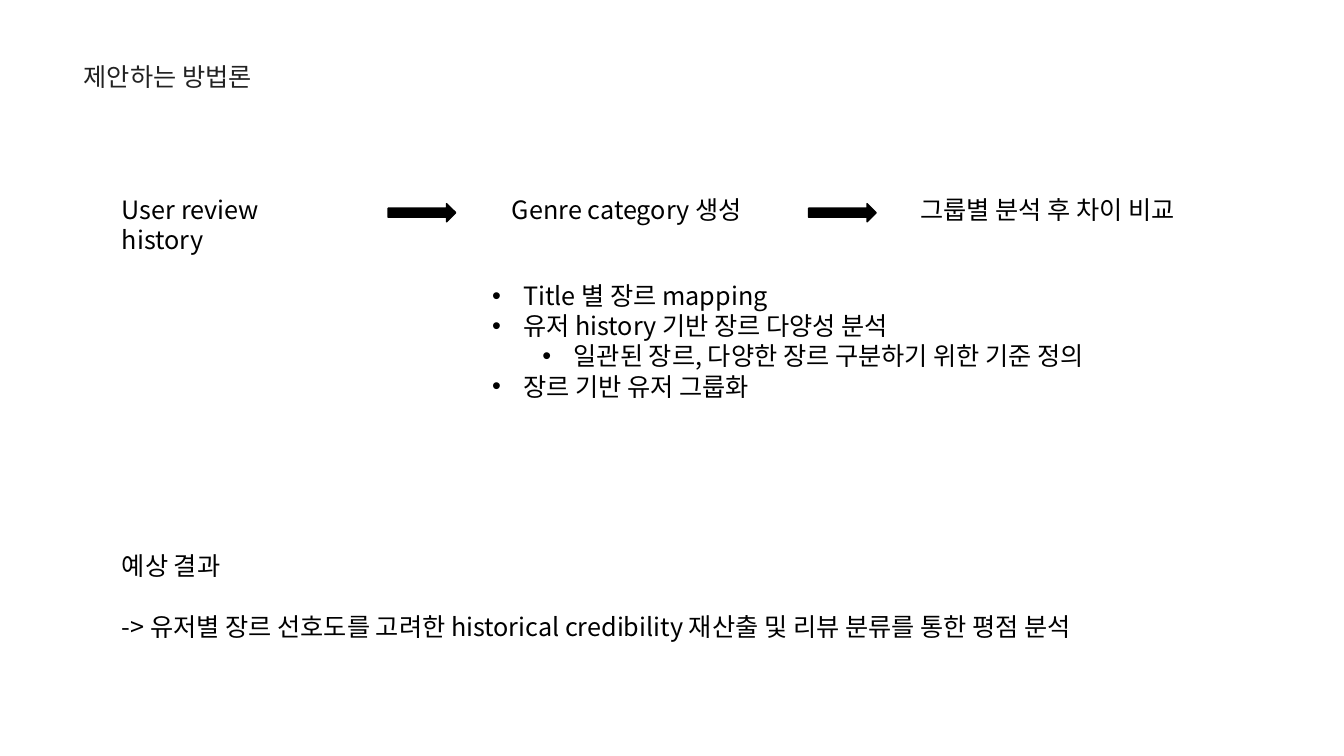
from pptx import Presentation
from pptx import util as u
from pptx.dml.color import RGBColor
from pptx.enum import shapes, text
from pptx.oxml.ns import qn
from lxml import etree

COLORS = {"title": "222222", "body": "000000"}
KOREAN = "Noto Sans CJK KR"
SIZE = 18

# Content
TITLE = "제안하는 방법론"
STEP_TOP, LINE_HEIGHT = 1.88, 0.4
STEPS = [  # text, left, width, right inset
    ("User review history", 1.11, 2.39, 0.3),
    ("Genre category 생성", 4.98, 2.56, 0),
    ("그룹별 분석 후 차이 비교", 9.03, 3.08, 0),
]
ARROW_LEFTS = [3.85, 8.02]
DETAILS = [  # level, text
    (0, "Title 별 장르 mapping"),
    (0, "유저 history 기반 장르 다양성 분석"),
    (1, "일관된 장르, 다양한 장르 구분하기 위한 기준 정의"),
    (0, "장르 기반 유저 그룹화"),
]
RESULT = [
    "예상 결과",
    "-> 유저별 장르 선호도를 고려한 historical credibility 재산출 및 리뷰 분류를 통한 평점 분석",
]


def place(s, left, top, width, height):
    s.left, s.top, s.width, s.height = map(u.Inches, (left, top, width, height))


def write(s, lines, color="body", font=KOREAN, right=0.1):
    """Fill a shape with left-aligned paragraphs and return them."""
    tf = s.text_frame
    tf.text = "\n".join(lines)
    tf.word_wrap = True
    tf.auto_size = text.MSO_AUTO_SIZE.NONE
    tf.vertical_anchor = text.MSO_ANCHOR.TOP
    tf.margin_right = u.Inches(right)
    for p in tf.paragraphs:
        p.alignment = text.PP_ALIGN.LEFT
        p.space_before = u.Pt(0)
        p.font.size = u.Pt(SIZE)
        p.font.name = font
        p.font.color.rgb = RGBColor.from_string(COLORS[color])
        for r in p.runs:
            r.font.name = font
            ea = etree.Element(qn("a:ea"), typeface=KOREAN)
            r.font._element.find(qn("a:latin")).addnext(ea)
    return tf.paragraphs


prs = Presentation()
prs.slide_width, prs.slide_height = u.Inches(13.33), u.Inches(7.5)
slide = prs.slides.add_slide(prs.slide_layouts[1])

# Title
title = slide.shapes.title
place(title, 0.73, 0.56, 9.32, LINE_HEIGHT)
write(title, [TITLE], "title", "Arial")

# Process steps
for label, left, width, right in STEPS:
    box = slide.shapes.add_textbox(0, 0, 0, 0)
    place(box, left, STEP_TOP, width, LINE_HEIGHT)
    write(box, [label], right=right)

# Arrows between steps
for left in ARROW_LEFTS:
    arrow = slide.shapes.add_shape(shapes.MSO_SHAPE.RIGHT_ARROW, 0, 0, 0, 0)
    place(arrow, left, 2.02, 0.67, 0.18)
    arrow.shadow.inherit = False
    arrow.fill.solid()
    arrow.fill.fore_color.rgb = RGBColor.from_string(COLORS["body"])
    arrow.line.color.rgb = RGBColor.from_string(COLORS["body"])
    arrow.line.width = u.Pt(1)

# Details of the genre step
details = slide.placeholders[1]
place(details, 4.78, 2.73, 6.75, 1.31)
paragraphs = write(details, [line for _, line in DETAILS])
for p, (level, _) in zip(paragraphs, DETAILS):
    p.level = level
    pPr = p._p.get_or_add_pPr()
    pPr.set("marL", str(u.Inches(0.31 + 0.5 * level)))
    pPr.set("indent", str(u.Inches(-0.31)))
    bullet_font = etree.Element(qn("a:buFont"), typeface="Arial")
    bullet = etree.Element(qn("a:buChar"), char="•")
    pPr.find(qn("a:spcBef")).addnext(bullet_font)
    bullet_font.addnext(bullet)

# Expected result, set one line apart from its heading
result = slide.shapes.add_textbox(0, 0, 0, 0)
place(result, 1.11, 5.41, 10.58, 1.01)
write(result, RESULT)[1].space_before = u.Pt(22)

prs.save("out.pptx")
